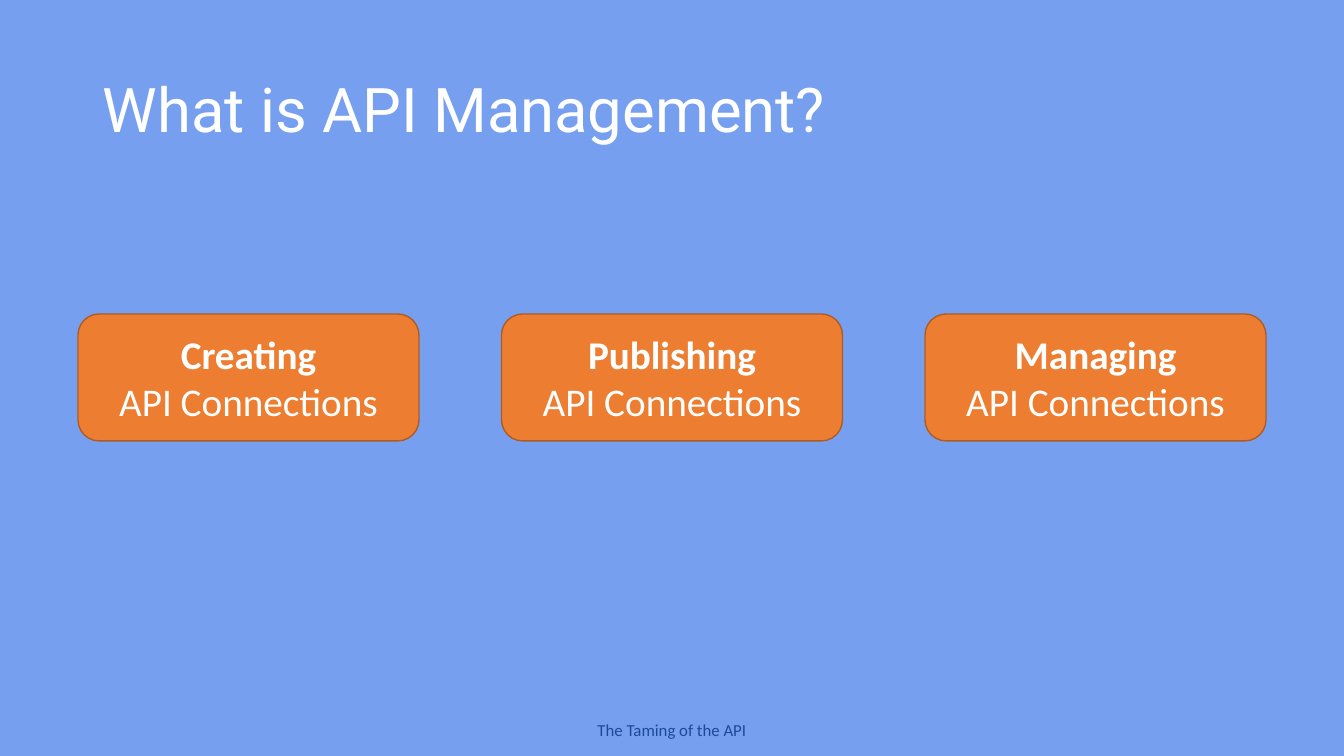
import dataclasses

import pptx
import pptx.dml.color
import pptx.enum.shapes
import pptx.enum.text
import pptx.util

EMU_PER_PX = 914400 / 100.8
SLIDE_WIDTH, SLIDE_HEIGHT = 1344, 756
CARD_WIDTH = 341
ACTIVITIES = ("Creating", "Publishing", "Managing")


@dataclasses.dataclass(frozen=True)
class Theme:
    """Colours, fonts and type sizes of the slide."""

    background: str = "769FEF"
    card: str = "ED7D31"
    card_edge: str = "AF5C24"
    light: str = "FFFFFF"
    footer: str = "1D4999"
    heading_font: str = "Roboto"
    body_font: str = "Calibri"
    heading_size: int = 44
    card_size: int = 28
    footer_size: int = 12


THEME = Theme()


def px(length):
    """Turn px into EMU."""
    return pptx.util.Emu(round(length * EMU_PER_PX))


def rgb(colour):
    """Turn a hex string into a colour."""
    return pptx.dml.color.RGBColor.from_string(colour)


def apply_format(target, values):
    """Set each attribute of the target from a dict."""
    for attribute, value in values.items():
        setattr(target, attribute, value)


def write_line(paragraph, words, font, size, colour, bold=False, **layout):
    """Write one formatted line into a paragraph."""
    apply_format(paragraph, layout)
    run = paragraph.add_run()
    run.text = words
    apply_format(run.font, {"name": font, "size": pptx.util.Pt(size), "bold": bold})
    run.font.color.rgb = rgb(colour)


def add_heading(slide, box):
    """Place the heading in its box."""
    heading = slide.shapes.add_textbox(*map(px, box)).text_frame
    apply_format(heading, {"word_wrap": True,
                           "vertical_anchor": pptx.enum.text.MSO_ANCHOR.MIDDLE})
    write_line(heading.paragraphs[0], "What is API Management?", THEME.heading_font,
               THEME.heading_size, THEME.light, line_spacing=0.9)


def add_card(slide, box, activity):
    """Place one rounded card naming an activity."""
    card = slide.shapes.add_shape(pptx.enum.shapes.MSO_SHAPE.ROUNDED_RECTANGLE,
                                  *map(px, box))
    card.shadow.inherit = False
    card.fill.solid()
    card.fill.fore_color.rgb = rgb(THEME.card)
    card.line.color.rgb = rgb(THEME.card_edge)
    card.line.width = pptx.util.Pt(1)
    label = card.text_frame
    apply_format(label, {"word_wrap": True,
                         "vertical_anchor": pptx.enum.text.MSO_ANCHOR.MIDDLE})
    lines = ((label.paragraphs[0], activity, True),
             (label.add_paragraph(), "API Connections", False))
    for paragraph, words, bold in lines:
        write_line(paragraph, words, THEME.body_font, THEME.card_size, THEME.light,
                   bold, alignment=pptx.enum.text.PP_ALIGN.CENTER)


def add_activities(slide, box):
    """Spread the activity cards evenly across the box."""
    left, top, width, height = box
    pitch = (width - CARD_WIDTH) / (len(ACTIVITIES) - 1)
    for index, activity in enumerate(ACTIVITIES):
        add_card(slide, (left + index * pitch, top, CARD_WIDTH, height), activity)


def add_footer(slide, box):
    """Place the centred footer in its box."""
    footer = slide.shapes.add_textbox(*map(px, box)).text_frame
    apply_format(footer, {"word_wrap": False,
                          "auto_size": pptx.enum.text.MSO_AUTO_SIZE.SHAPE_TO_FIT_TEXT})
    write_line(footer.paragraphs[0], "The Taming of the API", THEME.body_font,
               THEME.footer_size, THEME.footer,
               alignment=pptx.enum.text.PP_ALIGN.CENTER)


def main():
    """Build the slide and save it."""
    deck = pptx.Presentation()
    apply_format(deck, {"slide_width": px(SLIDE_WIDTH), "slide_height": px(SLIDE_HEIGHT)})
    slide = deck.slides.add_slide(deck.slide_layouts[6])
    slide.background.fill.solid()
    slide.background.fill.fore_color.rgb = rgb(THEME.background)
    add_footer(slide, (586, 715, 172, 30))
    add_heading(slide, (93, 40, 1159, 146))
    add_activities(slide, (78, 314, 1188, 127))
    deck.save("out.pptx")


if __name__ == "__main__":
    main()
